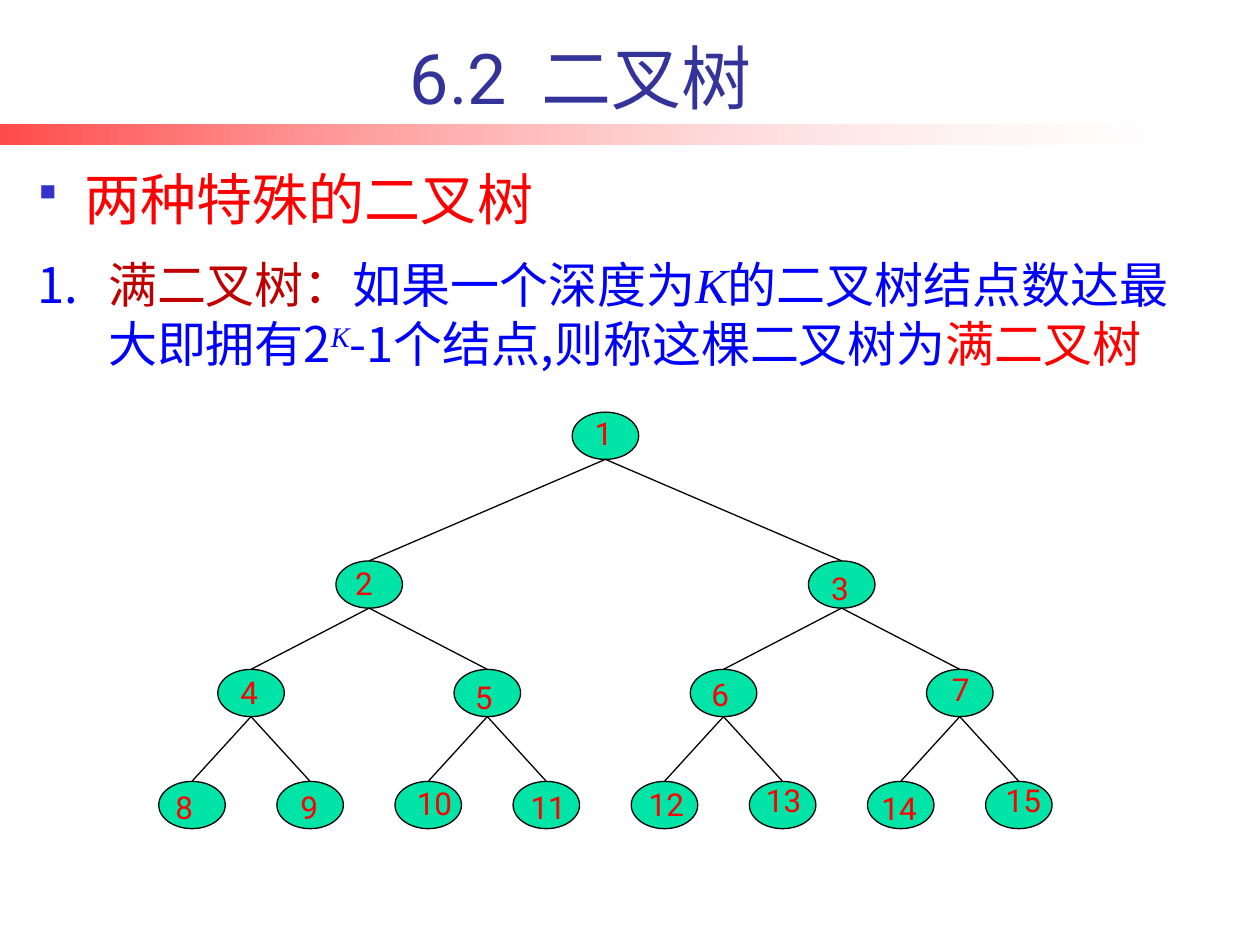
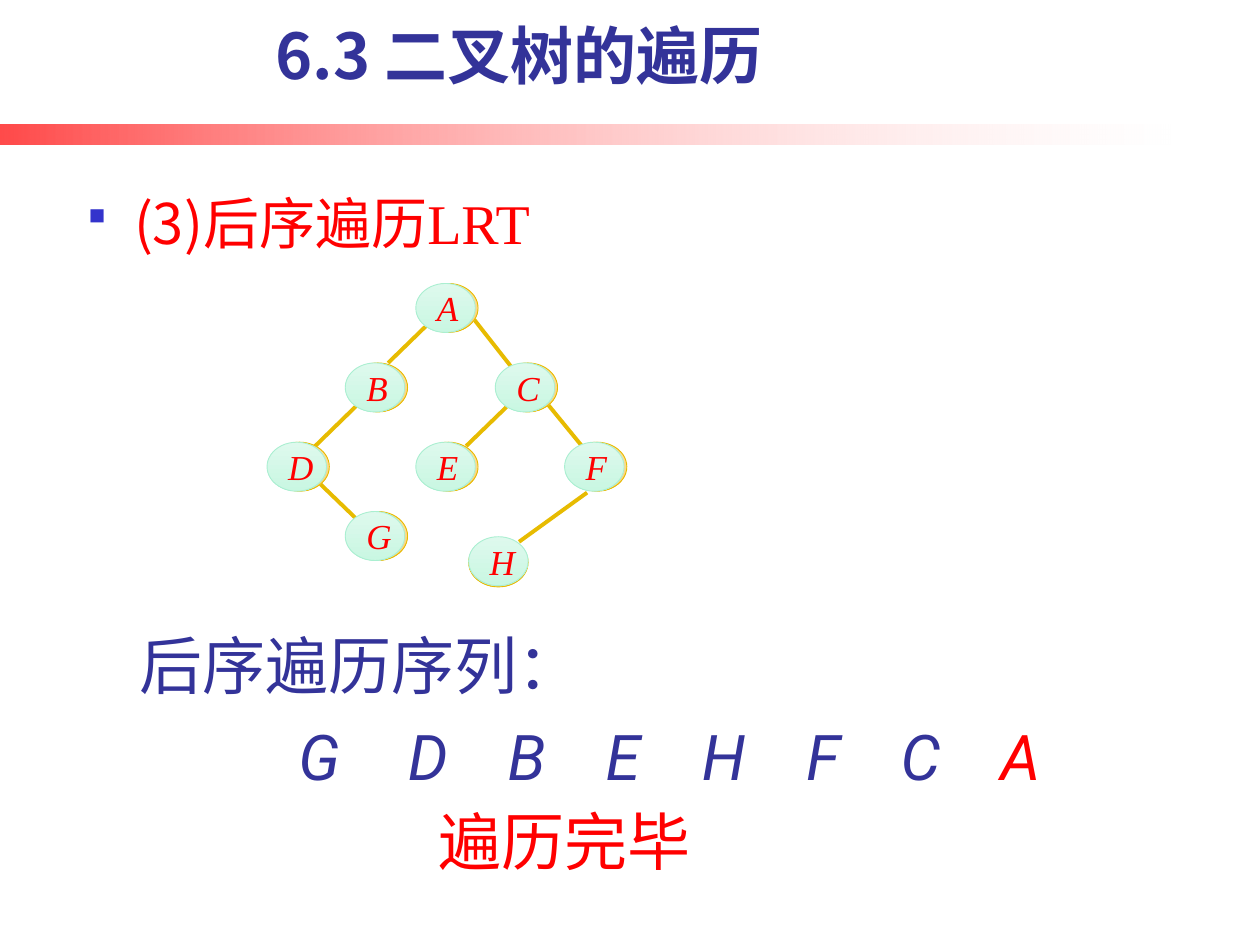
from lxml.etree import SubElement
from pptx import Presentation
from pptx.dml.color import RGBColor
from pptx.enum.shapes import MSO_CONNECTOR as Connector, MSO_SHAPE as Shape
from pptx.enum.text import MSO_ANCHOR as Anchor, PP_ALIGN as Align
from pptx.oxml.ns import qn
from pptx.util import Pt

COLORS = {
    "red": "FF0000", "dark_red": "C00000", "blue": "0000FF", "navy": "333399",
    "bullet": "3333CC", "black": "000000", "white": "FFFFFF", "green": "00E4A8",
    "gold": "E7BB01", "gold_top": "FFE09D", "gold_bottom": "F6D27C",
    "mint": "AAEFD1", "mint_top": "DEF9ED", "mint_bottom": "C9F7E2",
}
HAN, SANS, SERIF = "Noto Sans CJK SC", "Roboto", "Times New Roman"
VARIABLE = {"name": SERIF, "italic": True}

# Full binary tree: node k has children 2k and 2k + 1
NODE_W, NODE_H = 38, 27
LEAF_LEFT, LEAF_STEP = 90.7, 67.5
LEVEL_TOPS = [235.5, 320.5, 382.5, 446.5]
NUMBER_OFFSETS = [
    (13, 1), (11, 2), (13, 4.5), (13, 2), (12, 5), (12, 3), (14.5, 0.5),
    (9.5, 3.5), (13.5, 3.5), (12.5, 1.5), (10, 3.5), (10, 2), (9.5, 0),
    (8, 4.5), (11.5, 0),
]

# Traversal tree
VISIT_W, VISIT_H = 34, 28
VISIT_NODES = {
    "A": (237.6, 162), "B": (197.3, 207.4), "C": (283, 207.4),
    "D": (152.6, 252.7), "E": (237.6, 252.7), "F": (322.6, 252.7),
    "G": (197.3, 292.3), "H": (267.8, 306.7),
}
VISIT_EDGES = [
    ((244.8, 185), (221.8, 207.4)), ((270, 181.4), (293.8, 211.7)),
    ((205.2, 230.4), (176.4, 258.5)), ((182.2, 275.8), (205.2, 298)),
    ((289.4, 232.6), (266.4, 254.9)), ((312.5, 230.4), (335.5, 258.5)),
]
EDGE_F_TO_H = ((335.5, 281.5), (296.6, 309.6))
VISIT_ORDER = {"G": 163.4, "D": 226, "B": 283, "E": 339,
               "H": 394, "F": 453.6, "C": 507.6, "A": 564.5}


def rgb(name):
    return RGBColor.from_string(COLORS[name])


def style_font(font, size=None, name=None, color=None, bold=None, italic=None):
    if size:
        font.size = Pt(size)
    if name:
        font.name = name
    if color:
        font.color.rgb = rgb(color)
    if bold is not None:
        font.bold = bold
    if italic is not None:
        font.italic = italic


def style_paragraph(para, **style):
    """Set the paragraph font, with Chinese glyphs always in the Han face."""
    style_font(para.font, **style)
    SubElement(para._p.pPr.find(qn("a:defRPr")), qn("a:ea"), typeface=HAN)


def add_span(para, text, baseline=None, spacing=None, **style):
    span = para.add_run()
    span.text = text
    style_font(span.font, **style)
    properties = span._r.get_or_add_rPr()
    if baseline:
        properties.set("baseline", str(baseline * 1000))
    if spacing:
        properties.set("spc", str(spacing * 100))


def add_text(page, at, spans, bullet=None, leading=None, align=Align.LEFT,
             anchor=Anchor.TOP, inset=None, **style):
    """Add one paragraph; spans is a string or a list of (text, overrides)."""
    box = page.shapes.add_textbox(*map(Pt, at))
    frame = box.text_frame
    frame.word_wrap = True
    frame.vertical_anchor = anchor
    if inset is not None:
        frame.margin_left = frame.margin_right = Pt(inset)
        frame.margin_top = frame.margin_bottom = Pt(inset)
    para = frame.paragraphs[0]
    para.alignment = align
    if leading:
        para.line_spacing = Pt(leading)
    if bullet:
        bullet(para)
    style_paragraph(para, **style)
    if isinstance(spans, str):
        spans = [(spans, {})]
    for text, overrides in spans:
        add_span(para, text, **overrides)


def hang(para, indent, color):
    """Hang the paragraph by indent and colour its bullet."""
    properties = para._p.get_or_add_pPr()
    properties.set("marL", str(Pt(indent)))
    properties.set("indent", str(-Pt(indent)))
    paint = SubElement(properties, qn("a:buClr"))
    SubElement(paint, qn("a:srgbClr"), val=COLORS[color])
    return properties


def square_bullet(para):
    properties = hang(para, 27, "bullet")
    SubElement(properties, qn("a:buSzPct"), val="80000")
    SubElement(properties, qn("a:buFont"), typeface="Wingdings")
    SubElement(properties, qn("a:buChar"), char="§")


def number_bullet(para):
    properties = hang(para, 40.3, "blue")
    SubElement(properties, qn("a:buFont"), typeface=HAN)
    SubElement(properties, qn("a:buAutoNum"), type="arabicPeriod")


def add_filled(page, kind, at, fill, line=None, width=0.75, angle=270):
    """Add a shape; fill is one colour name or a pair for a gradient."""
    shape = page.shapes.add_shape(kind, *map(Pt, at))
    shape.shadow.inherit = False
    if isinstance(fill, str):
        shape.fill.solid()
        shape.fill.fore_color.rgb = rgb(fill)
    else:
        shape.fill.gradient()
        shape.fill.gradient_angle = angle
        for stop, color in zip(shape.fill.gradient_stops, fill):
            stop.color.rgb = rgb(color)
            stop.position = fill.index(color)
    if line:
        shape.line.color.rgb = rgb(line)
        shape.line.width = Pt(width)
    else:
        shape.line.fill.background()
    return shape


def add_edge(page, start, end, color, width):
    edge = page.shapes.add_connector(Connector.STRAIGHT, *map(Pt, start + end))
    edge.line.color.rgb = rgb(color)
    edge.line.width = Pt(width)
    SubElement(edge._element.spPr, qn("a:effectLst"))


def add_page(deck):
    """Add a blank page with the fading band."""
    page = deck.slides.add_slide(deck.slide_layouts[6])
    band = add_filled(page, Shape.RECTANGLE, (0, 71.3, 669, 11.5),
                      ("red", "white"), angle=0)
    for paint, alpha in zip(band._element.iter(qn("a:srgbClr")), (71, 18)):
        SubElement(paint, qn("a:alpha"), val=str(alpha * 1000))
    return page


def add_title(page, at, spans, **style):
    add_text(page, at, spans, leading=43, align=Align.CENTER,
             anchor=Anchor.BOTTOM, color="navy", **style)


def add_heading(page, left, top, spans):
    add_text(page, (left, top, 613.5, 51), spans, bullet=square_bullet,
             leading=38, anchor=Anchor.BOTTOM, size=32, name=HAN, color="red")


def tree_node_place(number):
    """Left and top of a node, centred over the leaves below it."""
    level = number.bit_length() - 1
    leaves = 2 ** (len(LEVEL_TOPS) - 1 - level)
    middle_leaf = (number - 2 ** level) * leaves + (leaves - 1) / 2
    return LEAF_LEFT + middle_leaf * LEAF_STEP, LEVEL_TOPS[level]


def add_full_tree(page):
    places = {number: tree_node_place(number) for number in range(1, 16)}
    for left, top in places.values():
        add_filled(page, Shape.OVAL, (left, top, NODE_W, NODE_H), "green", "black")
    for child in range(2, 16):
        (left, top), (child_left, child_top) = places[child // 2], places[child]
        add_edge(page, (left + NODE_W / 2, top + NODE_H),
                 (child_left + NODE_W / 2, child_top), "black", 0.75)
    for (number, (left, top)), (dx, dy) in zip(places.items(), NUMBER_OFFSETS):
        add_text(page, (left + dx, top + dy, 31, 22.3), str(number), inset=0,
                 size=18, name=SANS, color="red")


def add_visited_node(page, letter, left, top):
    node = add_filled(page, Shape.OVAL, (left, top, VISIT_W, VISIT_H),
                      ("mint_top", "mint_bottom"), "mint", 0.5)
    frame = node.text_frame
    frame.word_wrap = False
    frame.vertical_anchor = Anchor.MIDDLE
    para = frame.paragraphs[0]
    para.alignment = Align.LEFT
    style_paragraph(para, size=20, color="red", **VARIABLE)
    add_span(para, letter)


def add_visited_tree(page):
    for edge in VISIT_EDGES:
        add_edge(page, *edge, "gold", 2.25)
    for letter, (left, top) in VISIT_NODES.items():
        dx, dy = (0, 0.7) if letter == "H" else (1.6, 0)
        add_filled(page, Shape.OVAL, (left + dx, top + dy, VISIT_W, VISIT_H),
                   ("gold_top", "gold_bottom"), "gold", 0.5)
    for letter, place in VISIT_NODES.items():
        if letter == "H":
            add_edge(page, *EDGE_F_TO_H, "gold", 2.25)
        add_visited_node(page, letter, *place)


def build_full_tree_page(deck):
    page = add_page(deck)
    add_heading(page, 14.4, 85, "两种特殊的二叉树")
    add_text(page, (14.4, 142, 676, 80), [
        ("满二叉树：", {"color": "dark_red"}),
        ("如果一个深度为", {}),
        ("K", VARIABLE),
        ("的二叉树结点数达最大即拥有2", {}),
        ("K", {"baseline": 30, **VARIABLE}),
        ("-1个结点,则称这棵二叉树为", {}),
        ("满二叉树", {"color": "red"}),
    ], bullet=number_bullet, leading=33.5, size=28, name=HAN, color="blue")
    add_title(page, (195.8, 20, 272.2, 51),
              [("6.2", {}), (" ", {"spacing": 10}), ("二叉树", {})],
              size=40, name=SANS)
    add_full_tree(page)


def build_postorder_page(deck):
    page = add_page(deck)
    add_title(page, (70.6, 5, 452.2, 51), "6.3 二叉树的遍历",
              size=36, name=HAN, bold=True)
    add_heading(page, 42.5, 98.5, [("(3)后序遍历", {}), ("LRT", {"name": SERIF})])
    add_visited_tree(page)
    add_text(page, (72.7, 354.7, 355, 51), "后序遍历序列：", leading=43,
             size=36, name=HAN, color="navy")
    add_text(page, (243.4, 455.2, 193, 51), "遍历完毕", leading=43,
             size=36, name=HAN, color="red")
    for letter, left in VISIT_ORDER.items():
        add_text(page, (left, 406.4, 57, 50), letter, size=36, name=SANS,
                 color="red" if letter == "A" else "navy", italic=True)


def main():
    deck = Presentation()
    deck.slide_width, deck.slide_height = Pt(720), Pt(540)
    build_full_tree_page(deck)
    build_postorder_page(deck)
    deck.save("out.pptx")


if __name__ == "__main__":
    main()
